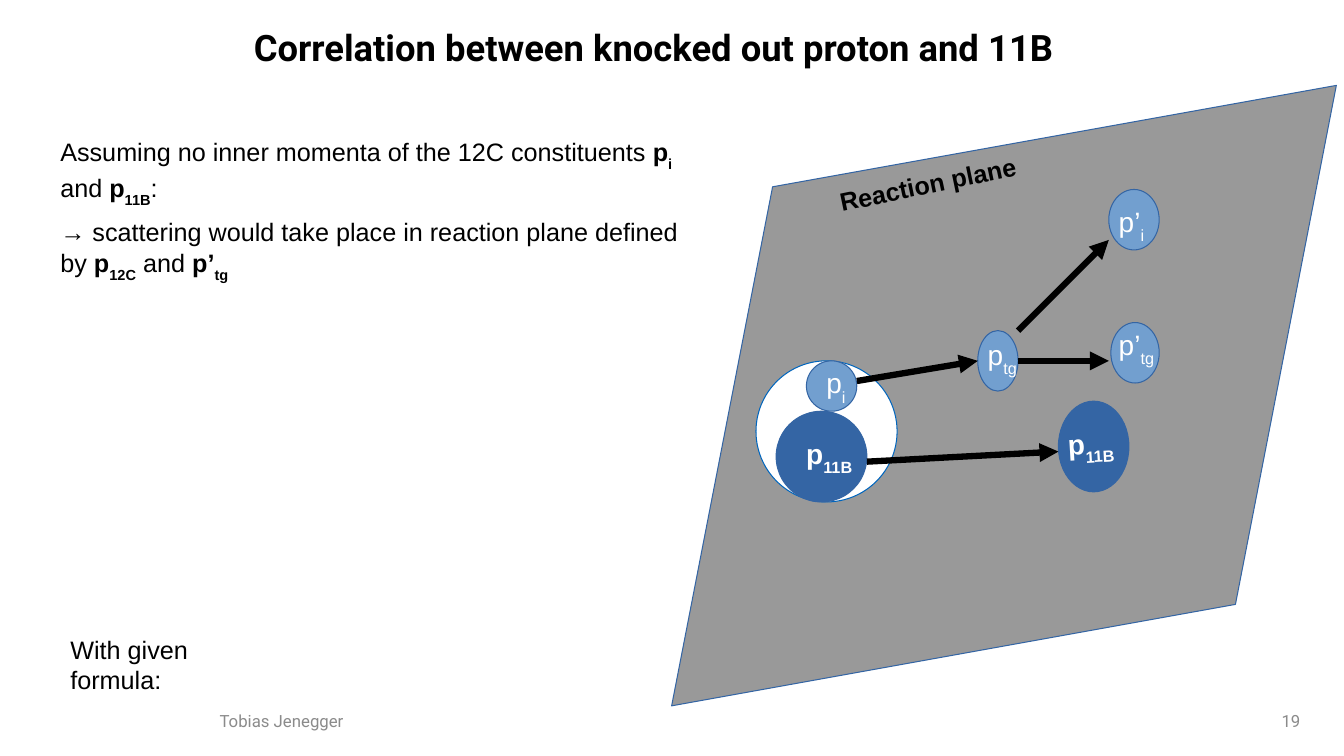
import itertools

import pptx
import pptx.dml.color
import pptx.enum.shapes
import pptx.enum.text
import pptx.oxml
import pptx.oxml.ns
import pptx.util

SHAPE = pptx.enum.shapes.MSO_SHAPE
ALIGN = pptx.enum.text.PP_ALIGN
ANCHOR = pptx.enum.text.MSO_ANCHOR
AUTO = pptx.enum.text.MSO_AUTO_SIZE


def color(hex_code):
    return pptx.dml.color.RGBColor.from_string(hex_code)


def cells(*counts):
    return [pptx.util.Inches(count / 10) for count in counts]


def write(paragraph, text, size=18, font="Arial", ink="000000", bold=False,
          symbol_bold=True, align=None, gap=None, first=True):
    """Fields between bars cycle through plain text, symbol and subscript."""
    paragraph.alignment = align
    if gap is not None:
        paragraph.space_after = pptx.util.Pt(gap)
        if not first:
            paragraph.space_before = pptx.util.Pt(gap)
    roles = itertools.cycle(("plain", "symbol", "subscript"))
    for part, role in zip(text.split("|"), roles):
        if not part:
            continue
        run = paragraph.add_run()
        run.text = part
        run.font.size = pptx.util.Pt(size)
        run.font.name = font
        run.font.color.rgb = color(ink)
        run.font.bold = bold if role == "plain" else symbol_bold
        if role == "subscript":
            run.font._element.set("baseline", "-33000")


class ReactionSlide:
    heading_font = "Roboto"
    footer_ink = "8B8B8B"
    plane_fill = "999999"
    outline = "3465A4"
    proton_fill = "729FCF"
    boron_fill = "3465A4"
    arrow_width = 4.5

    def __init__(self, deck):
        self.slide = deck.slides.add_slide(deck.slide_layouts[6])

    def text(self, box, *lines, turn=0, anchor=ANCHOR.TOP, inset=(1, 0.5),
             grow=True, **style):
        holder = self.slide.shapes.add_textbox(*cells(*box))
        holder.rotation = turn
        frame = holder.text_frame
        frame.word_wrap = True
        frame.auto_size = AUTO.SHAPE_TO_FIT_TEXT if grow else AUTO.NONE
        frame.vertical_anchor = anchor
        frame.margin_left, frame.margin_top = cells(*inset)
        frame.margin_right, frame.margin_bottom = cells(*inset)
        for index, line in enumerate(lines):
            paragraph = frame.add_paragraph() if index else frame.paragraphs[0]
            write(paragraph, line, first=index == 0, **style)

    def footer(self, box, line, **style):
        self.text(box, line, anchor=ANCHOR.MIDDLE, grow=False, size=12,
                  font=self.heading_font, ink=self.footer_ink, **style)

    def label(self, box, symbol, **style):
        self.text(box, symbol, size=20, ink="FFFFFF", **style)

    def shape(self, kind, box, fill, outline=None):
        figure = self.slide.shapes.add_shape(kind, *cells(*box))
        figure.shadow.inherit = False
        figure.fill.solid()
        figure.fill.fore_color.rgb = color(fill)
        figure.line.color.rgb = color(outline or self.outline)
        figure.line.width = pptx.util.Pt(0)
        return figure

    def plane(self, box, slant, turn):
        figure = self.shape(SHAPE.PARALLELOGRAM, box, self.plane_fill)
        figure.adjustments[0] = slant
        figure.rotation = turn

    def particle(self, box, fill, outline=None):
        self.shape(SHAPE.OVAL, box, fill, outline)

    def arrow(self, start, end):
        link = self.slide.shapes.add_connector(
            pptx.enum.shapes.MSO_CONNECTOR.STRAIGHT, *cells(*start, *end))
        link.line.color.rgb = color("000000")
        link.line.width = pptx.util.Pt(self.arrow_width)
        namespace = pptx.oxml.ns.nsdecls("a")
        link.line._get_or_add_ln().append(pptx.oxml.parse_xml(
            f'<a:tailEnd {namespace} type="triangle"/>'))
        link._element.spPr.append(
            pptx.oxml.parse_xml(f"<a:effectLst {namespace}/>"))


def main():
    deck = pptx.Presentation()
    deck.slide_width, deck.slide_height = cells(133.33, 75)
    page = ReactionSlide(deck)

    page.footer((20.8, 69.5, 18.3, 4), "Tobias Jenegger")
    page.footer((100, 69.5, 30, 4), "19", align=ALIGN.RIGHT)
    page.text((9.2, 2.2, 111.4, 5),
              "Correlation between knocked out proton and 11B",
              anchor=ANCHOR.MIDDLE, inset=(0, 0), size=26,
              font=page.heading_font, bold=True, align=ALIGN.CENTER)
    page.text((6, 62.4, 22, 6.6), "With given formula:")

    page.plane((61.7, 14.8, 75.8, 48.9), slant=0.388, turn=169.8)
    page.particle((75, 35.8, 14, 14), "FFFFFF", "0065BD")
    for boron in ((77, 40.8, 9, 9), (105, 39.8, 7, 9)):
        page.particle(boron, page.boron_fill)
    for proton in ((80, 35.8, 5, 5), (97, 32.8, 4, 6),
                   (110.2, 32, 4.8, 6), (110, 18.8, 5, 6)):
        page.particle(proton, page.proton_fill)

    for start, end in (((86, 45.8), (105, 44.8)), ((85, 37.8), (97, 35.8)),
                       ((101, 35.8), (110, 35.8)), ((101, 32.8), (110, 23.8))):
        page.arrow(start, end)

    page.label((79, 42.8, 8, 6.6), "|p|11B")
    page.label((105, 41.7, 8, 6.6), "|p|11B", turn=356.6)
    for box, symbol in (((81, 35.8, 5, 4.8), "|p|i"),
                        ((110, 19.8, 5, 4.8), "|p’|i"),
                        ((97, 33, 5, 5.8), "|p|tg"),
                        ((110, 32, 6, 8.5), "|p’|tg")):
        page.label(box, symbol, symbol_bold=False)

    page.text((5, 13, 65, 14.8),
              "Assuming no inner momenta of the 12C constituents |p|i| and |p|11B|:",
              "→ scattering would take place in reaction plane defined by "
              "|p|12C| and |p’|tg", gap=2.8)
    page.text((82.1, 15.8, 24, 3.8), "Reaction plane", turn=348.2, bold=True)

    deck.save("out.pptx")


if __name__ == "__main__":
    main()
